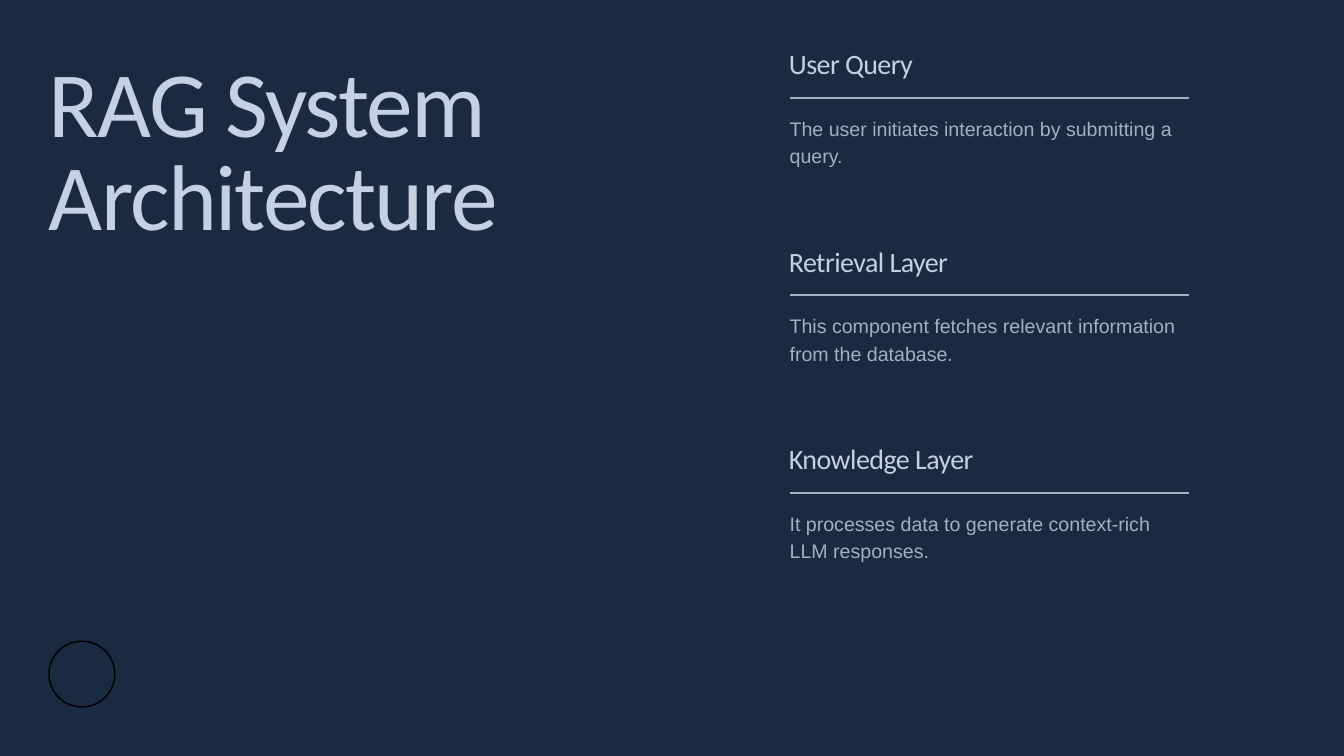
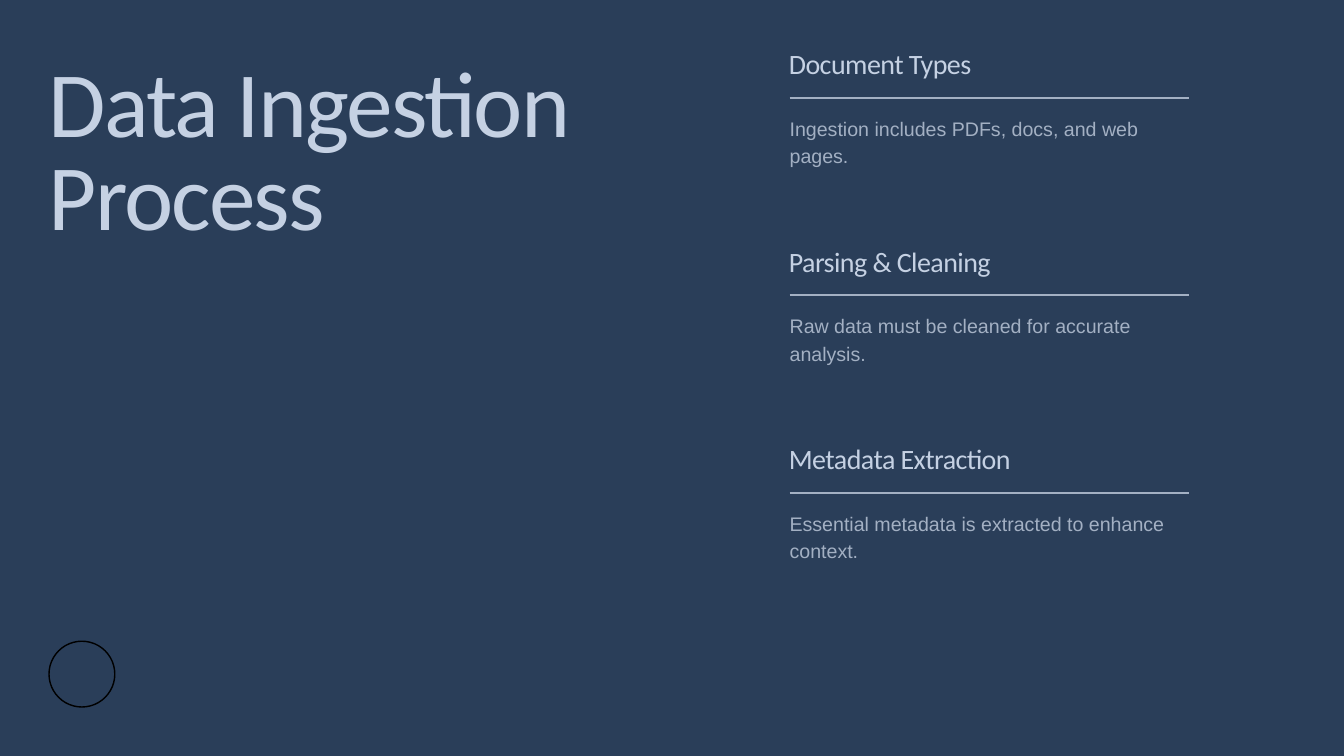
from dataclasses import dataclass
from typing import NamedTuple

import pptx
import pptx.dml.color
import pptx.enum.shapes
import pptx.enum.text
import pptx.oxml.ns
import pptx.slide
import pptx.text.text
import pptx.util
from lxml import etree

EMU_PER_PX = 9525
TITLE_ONLY_LAYOUT = 5


def px(length: int) -> pptx.util.Emu:
    return pptx.util.Emu(length * EMU_PER_PX)


class Box(NamedTuple):
    left: int
    top: int
    width: int
    height: int

    def emu(self) -> tuple[pptx.util.Emu, ...]:
        return tuple(px(length) for length in self)

    def lowered(self, distance: int) -> "Box":
        return self._replace(top=self.top + distance)


@dataclass(frozen=True)
class TextStyle:
    font: str
    size: float
    line_height: float
    color: str
    tracking: float = 0


@dataclass(frozen=True)
class Theme:
    rule_color: str = "A3B0C3"
    rule_width: float = 2
    ring_color: str = "000000"
    ring_width: float = 1.5
    title: TextStyle = TextStyle("Calibri", 100, 100, "C5D1E3", -2)
    heading: TextStyle = TextStyle("Calibri", 30, 30, "C5D1E3", -0.6)
    detail: TextStyle = TextStyle("Arial", 21, 29.4, "A3B0C3")


class Section(NamedTuple):
    heading: str
    detail: str


@dataclass(frozen=True)
class Topic:
    title: str
    background: str
    sections: tuple[Section, ...]


THEME = Theme()

# Shared layout, in px
SLIDE_WIDTH, SLIDE_HEIGHT = 1920, 1080
TITLE_BOX = Box(70, 90, 874, 273)
HEADING_BOX = Box(1127, 75, 572, 41)
DETAIL_BOX = Box(1128, 161, 570, 76)
RULE_LEFT, RULE_RIGHT, RULE_TOP = 1128, 1699, 140
SECTION_PITCH = 282
RING_BOX = Box(70, 916, 94, 94)

TOPICS = (
    Topic("RAG System Architecture", "1A2A40", (
        Section("User Query", "The user initiates interaction by submitting a query."),
        Section("Retrieval Layer",
                "This component fetches relevant information from the database."),
        Section("Knowledge Layer",
                "It processes data to generate context-rich LLM responses."),
    )),
    Topic("Data Ingestion Process", "2A3E59", (
        Section("Document Types", "Ingestion includes PDFs, docs, and web pages."),
        Section("Parsing & Cleaning", "Raw data must be cleaned for accurate analysis."),
        Section("Metadata Extraction",
                "Essential metadata is extracted to enhance context."),
    )),
)


def rgb(value: str) -> pptx.dml.color.RGBColor:
    return pptx.dml.color.RGBColor.from_string(value)


def write(frame: pptx.text.text.TextFrame, text: str, style: TextStyle) -> None:
    """Fill a frame with one left-aligned paragraph in the given style."""
    frame.text = text
    frame.word_wrap = True
    frame.auto_size = pptx.enum.text.MSO_AUTO_SIZE.SHAPE_TO_FIT_TEXT
    frame.vertical_anchor = pptx.enum.text.MSO_ANCHOR.TOP
    frame.margin_left = frame.margin_right = 0
    frame.margin_top = frame.margin_bottom = 0
    paragraph = frame.paragraphs[0]
    paragraph.alignment = pptx.enum.text.PP_ALIGN.LEFT
    paragraph.line_spacing = pptx.util.Pt(style.line_height)
    for run in paragraph.runs:
        run.font.name = style.font
        run.font.size = pptx.util.Pt(style.size)
        run.font.color.rgb = rgb(style.color)
        if style.tracking:
            run._r.get_or_add_rPr().set("spc", str(round(style.tracking * 100)))


def add_title(slide: pptx.slide.Slide, text: str) -> None:
    title = slide.shapes.title
    title.left, title.top, title.width, title.height = TITLE_BOX.emu()
    write(title.text_frame, text, THEME.title)


def add_section(slide: pptx.slide.Slide, section: Section, drop: int) -> None:
    """Group a heading, its detail text and the rule between them."""
    parts = slide.shapes.add_group_shape().shapes
    heading = parts.add_textbox(*HEADING_BOX.lowered(drop).emu())
    write(heading.text_frame, section.heading, THEME.heading)
    detail = parts.add_textbox(*DETAIL_BOX.lowered(drop).emu())
    write(detail.text_frame, section.detail, THEME.detail)

    rule_y = px(RULE_TOP + drop)
    rule = parts.add_connector(pptx.enum.shapes.MSO_CONNECTOR.STRAIGHT,
                               px(RULE_LEFT), rule_y, px(RULE_RIGHT), rule_y)
    rule.line.color.rgb = rgb(THEME.rule_color)
    rule.line.width = pptx.util.Pt(THEME.rule_width)
    etree.SubElement(rule._element.spPr, pptx.oxml.ns.qn("a:effectLst"))


def add_ring(slide: pptx.slide.Slide) -> None:
    ring = slide.shapes.add_shape(pptx.enum.shapes.MSO_SHAPE.OVAL, *RING_BOX.emu())
    ring.shadow.inherit = False
    ring.fill.background()
    ring.line.color.rgb = rgb(THEME.ring_color)
    ring.line.width = pptx.util.Pt(THEME.ring_width)


def main() -> None:
    deck = pptx.Presentation()
    deck.slide_width, deck.slide_height = px(SLIDE_WIDTH), px(SLIDE_HEIGHT)
    for topic in TOPICS:
        slide = deck.slides.add_slide(deck.slide_layouts[TITLE_ONLY_LAYOUT])
        slide.background.fill.solid()
        slide.background.fill.fore_color.rgb = rgb(topic.background)
        add_title(slide, topic.title)
        for row, section in enumerate(topic.sections):
            add_section(slide, section, row * SECTION_PITCH)
        add_ring(slide)
    deck.save("out.pptx")


if __name__ == "__main__":
    main()
